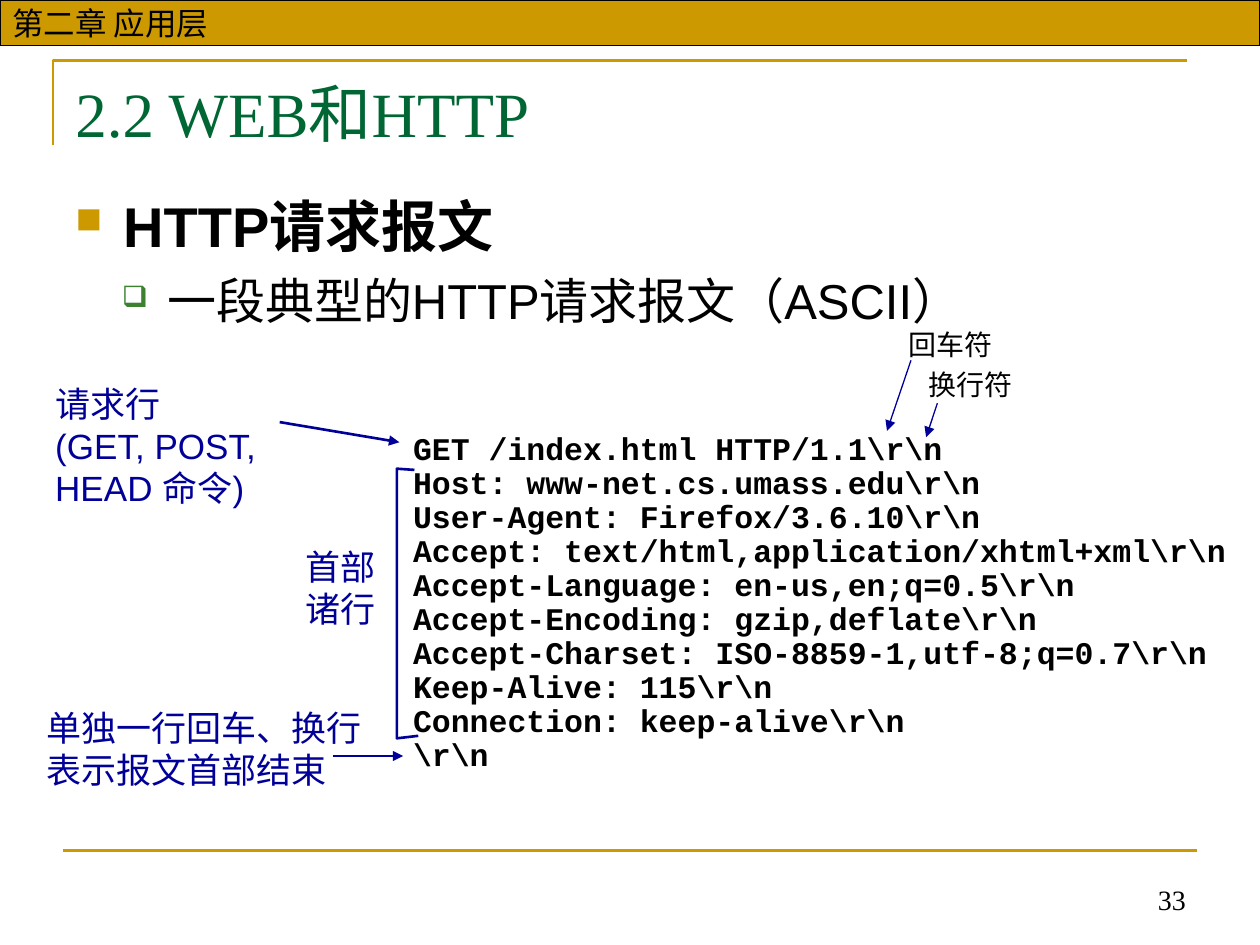
from lxml import etree
from pptx import Presentation
from pptx.dml.color import RGBColor
from pptx.enum.shapes import MSO_CONNECTOR, MSO_SHAPE
from pptx.enum.text import MSO_ANCHOR, PP_ALIGN
from pptx.oxml.ns import qn
from pptx.util import Inches, Pt

LEFT, RIGHT = PP_ALIGN.LEFT, PP_ALIGN.RIGHT
TOP, MIDDLE, BOTTOM = MSO_ANCHOR.TOP, MSO_ANCHOR.MIDDLE, MSO_ANCHOR.BOTTOM
STRAIGHT, RECTANGLE = MSO_CONNECTOR.STRAIGHT, MSO_SHAPE.RECTANGLE

# Theme: colours, fonts and text styles (font, size, colour, bold)
COLOR = {"gold": "CC9900", "green": "006633", "leaf": "3B812F",
         "navy": "000099", "black": "000000"}
SANS, SERIF, MONO, CJK = "Arial", "Times New Roman", "Courier New", "Noto Sans CJK SC"
STYLE = {
    "chapter": (SANS, 18, "black", False),
    "title": (SERIF, 36, "green", False),
    "number": (SERIF, 16, "black", False),
    "heading": (SANS, 32, "black", True),
    "subheading": (SANS, 28, "black", False),
    "request": (SANS, 20, "navy", False),
    "note": (CJK, 20, "navy", False),
    "label": (CJK, 16, "black", False),
    "code": (MONO, 18, "black", True),
}
LINE_HEIGHT = 1.2   # points of line height per point of type
CODE_SPACING = 0.9

# Content
CHAPTER = "第二章 应用层"
MESSAGE = [
    r"GET /index.html HTTP/1.1\r\n",
    r"Host: www-net.cs.umass.edu\r\n",
    r"User-Agent: Firefox/3.6.10\r\n",
    r"Accept: text/html,application/xhtml+xml\r\n",
    r"Accept-Language: en-us,en;q=0.5\r\n",
    r"Accept-Encoding: gzip,deflate\r\n",
    r"Accept-Charset: ISO-8859-1,utf-8;q=0.7\r\n",
    r"Keep-Alive: 115\r\n",
    r"Connection: keep-alive\r\n",
    r"\r\n",
]
# Bullets: text, style, margin, indent, space before, character, colour, size %
BULLETS = [
    ("HTTP请求报文", "heading", 0.38, -0.38, 0, "■", "gold", 65),
    ("一段典型的HTTP请求报文（ASCII）", "subheading", 0.73, -0.36, 7, "❑", "leaf", 60),
]
# Text boxes: lines, style, (left, top, width, height), align, anchor
TEXTS = [
    (["33"], "number", (6.34, 6.82, 3.17, 0.5), RIGHT, BOTTOM),
    (["2.2 WEB和HTTP"], "title", (0.5, 0.54, 9, 0.77), LEFT, TOP),
    (["请求行", "(GET, POST,", "HEAD 命令)"], "request",
     (0.34, 2.99, 1.93, 1.1), LEFT, TOP),
    (["首部", "诸行"], "note", (2.19, 4.28, 0.89, 0.77), RIGHT, TOP),
    (["单独一行回车、换行表示报文首部结束"], "note",
     (0.27, 5.56, 2.81, 0.77), LEFT, TOP),
    (MESSAGE, "code", (3.18, 3.39, 6.7, 2.8), LEFT, TOP),
    (["回车符"], "label", (7.11, 2.55, 0.95, 0.37), LEFT, TOP),
    (["换行符"], "label", (7.27, 2.87, 0.95, 0.37), LEFT, TOP),
]
# Arrows: start, end, line width
ARROWS = [
    ((2.22, 3.35), (3.17, 3.51), 1.5),
    ((2.64, 6), (3.2, 6), 1.5),
    ((7.23, 2.86), (7.04, 3.42), 0.75),
    ((7.44, 3.2), (7.35, 3.47), 0.75),
]
TITLE_CORNER = [(0.42, 1.15), (0.42, 0.48), (9.42, 0.48)]
HEADER_BRACKET = [(3.29, 3.73), (3.15, 3.72), (3.15, 5.86), (3.32, 5.84)]


def rgb(name):
    return RGBColor.from_string(COLOR[name])


def add_element(parent, tag, **attributes):
    return etree.SubElement(parent, qn(tag), attributes)


def set_line(shape, color, width):
    shape.line.color.rgb = rgb(color)
    shape.line.width = Pt(width)


def style_paragraph(para, style):
    family, size, color, bold = STYLE[style]
    para.line_spacing = CODE_SPACING if style == "code" else Pt(size * LINE_HEIGHT)
    for span in para.runs:
        span.font.name, span.font.size, span.font.bold = family, Pt(size), bold
        span.font.color.rgb = rgb(color)
        add_element(span.font._element, "a:ea", typeface=CJK)


def fill_text(shape, lines, style, align=LEFT, anchor=TOP):
    frame = shape.text_frame
    frame.text = "\n".join(lines)
    frame.word_wrap, frame.vertical_anchor = True, anchor
    for para in frame.paragraphs:
        para.alignment = align
        style_paragraph(para, style)


def add_box(page, place):
    return page.shapes.add_textbox(*map(Inches, place))


def add_outline(page, points, color):
    builder = page.shapes.build_freeform(*map(Inches, points[0]))
    builder.add_line_segments([tuple(map(Inches, point)) for point in points[1:]], close=False)
    outline = builder.convert_to_shape()
    outline.shadow.inherit = False
    outline.fill.background()
    set_line(outline, color, 1.5)


def add_line(page, start, end, color, width, arrow=False):
    line = page.shapes.add_connector(STRAIGHT, *map(Inches, start + end))
    set_line(line, color, width)
    if arrow:
        add_element(line.line._get_or_add_ln(), "a:tailEnd", type="triangle")
    add_element(line._element.spPr, "a:effectLst")


def add_bullets(page, place):
    frame = add_box(page, place).text_frame
    frame.word_wrap = True
    frame.text = "\n".join(item[0] for item in BULLETS)
    for level, (para, item) in enumerate(zip(frame.paragraphs, BULLETS)):
        _, style, margin, indent, before, mark, color, percent = item
        para.level = level
        properties = para._p.get_or_add_pPr()
        properties.set("marL", str(Inches(margin)))
        properties.set("indent", str(Inches(indent)))
        mark_color = add_element(properties, "a:buClr")
        add_element(mark_color, "a:srgbClr", val=COLOR[color])
        add_element(properties, "a:buSzPct", val=str(percent * 1000))
        add_element(properties, "a:buChar", char=mark)
        if before:
            para.space_before = Pt(before)
        style_paragraph(para, style)


def main():
    deck = Presentation()
    deck.slide_width, deck.slide_height = Inches(10), Inches(7.5)
    page = deck.slides.add_slide(deck.slide_layouts[6])

    # Frame: title corner, footer rule and chapter bar
    add_outline(page, TITLE_CORNER, "gold")
    add_line(page, (0.5, 6.75), (9.5, 6.75), "gold", 1.5)
    bar = page.shapes.add_shape(RECTANGLE, 0, 0, Inches(10), Inches(0.36))
    bar.shadow.inherit = False
    bar.fill.solid()
    bar.fill.fore_color.rgb = rgb("gold")
    set_line(bar, "black", 0.75)
    fill_text(bar, [CHAPTER], "chapter", anchor=MIDDLE)

    # Headings, message and annotations
    add_bullets(page, (0.5, 1.47, 9, 5.2))
    for lines, style, place, align, anchor in TEXTS:
        fill_text(add_box(page, place), lines, style, align, anchor)

    # Pointers from the annotations to the message
    add_outline(page, HEADER_BRACKET, "navy")
    for start, end, width in ARROWS:
        add_line(page, start, end, "navy", width, arrow=True)

    deck.save("out.pptx")


if __name__ == "__main__":
    main()
